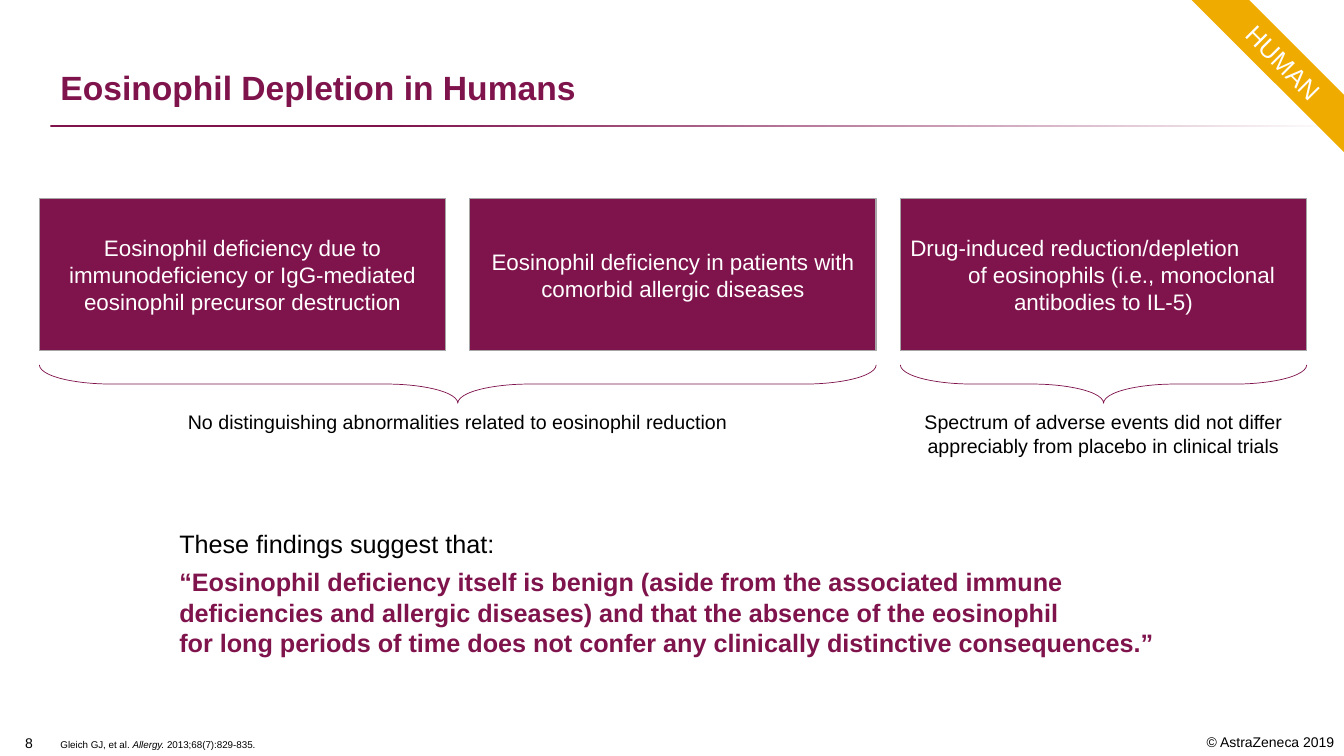
import pptx
import pptx.dml.color
import pptx.enum.shapes
import pptx.enum.text
import pptx.oxml
import pptx.util
from pptx.util import Inches

COLORS = {
    "plum": "7F134C",
    "gold": "F0AB00",
    "gray": "A6A6A6",
    "black": "000000",
    "white": "FFFFFF",
}
ALIGN = pptx.enum.text.PP_ALIGN
ANCHOR = pptx.enum.text.MSO_ANCHOR
SHAPE = pptx.enum.shapes.MSO_SHAPE


def rgb(name):
    return pptx.dml.color.RGBColor.from_string(COLORS[name])


def set_attributes(target, values):
    for name, value in values.items():
        setattr(target, name, value)


class SlideBuilder:
    font_name = "Arial"

    def __init__(self, slide):
        self.slide = slide

    def fill_text(self, shape, paragraphs, size, color, frame=None, **common):
        """Fill a shape; each paragraph is a text, or runs with format values."""
        text_frame = shape.text_frame
        text_frame.word_wrap = True
        text_frame.auto_size = pptx.enum.text.MSO_AUTO_SIZE.NONE
        set_attributes(text_frame, frame or {})
        for index, content in enumerate(paragraphs):
            if isinstance(content, str):
                content = {"runs": [(content, {})]}
            paragraph = text_frame.paragraphs[0] if index == 0 else text_frame.add_paragraph()
            properties = paragraph._p.get_or_add_pPr()
            properties.set("marL", str(Inches(content.get("indent", 0))))
            properties.set("indent", "0")
            properties.append(pptx.oxml.parse_xml(
                '<a:buNone xmlns:a="http://schemas.openxmlformats.org/drawingml/2006/main"/>'))
            set_attributes(paragraph, {"space_before": pptx.util.Pt(0), **common,
                                       **content.get("format", {})})
            for text, font_values in content["runs"]:
                run = paragraph.add_run()
                run.text = text
                set_attributes(run.font, {"name": self.font_name, "size": pptx.util.Pt(size),
                                          **font_values})
                run.font.color.rgb = rgb(content.get("color", color))

    def placeholder(self, index, box, *text, **values):
        shape = self.slide.placeholders[index]
        set_attributes(shape, dict(zip(("left", "top", "width", "height"), map(Inches, box))))
        self.fill_text(shape, *text, **values)

    def text(self, box, *text, shapes=None, rotation=0, **values):
        shape = (shapes or self.slide.shapes).add_textbox(*map(Inches, box))
        shape.rotation = rotation
        self.fill_text(shape, *text, **values)

    def shape(self, kind, box, fill=None, line=None, line_width=1, shapes=None):
        shape = (shapes or self.slide.shapes).add_shape(kind, *map(Inches, box))
        shape.shadow.inherit = False
        if fill:
            shape.fill.solid()
            shape.fill.fore_color.rgb = rgb(fill)
        else:
            shape.fill.background()
        if line:
            shape.line.color.rgb = rgb(line)
            shape.line.width = pptx.util.Pt(line_width)
        else:
            shape.line.fill.background()
        return shape

    def fading_rule(self, box):
        rule = self.shape(SHAPE.RECTANGLE, box)
        rule.fill.gradient()
        rule.fill.gradient_angle = 0
        for stop, color, position in zip(rule.fill.gradient_stops, ("plum", "white"), (0.26, 1)):
            stop.color.rgb = rgb(color)
            stop.position = position

    def corner_ribbon(self, label):
        shapes = self.slide.shapes.add_group_shape().shapes
        stripe = self.shape(SHAPE.DIAGONAL_STRIPE, (11.82, 0, 1.52, 1.52), "gold", shapes=shapes)
        stripe.adjustments[0] = 0.625
        stripe._element.spPr.get_or_add_xfrm().set("flipH", "1")
        self.text((11.94, 0.42, 1.58, 0.4), [label], 18, "white", shapes=shapes,
                  rotation=45, alignment=ALIGN.CENTER)

    def card(self, box, paragraphs):
        card = self.shape(SHAPE.RECTANGLE, box, "plum", "gray")
        self.fill_text(card, paragraphs, 16, "white", {"vertical_anchor": ANCHOR.MIDDLE},
                       alignment=ALIGN.CENTER)

    def brace_with_caption(self, left, span, caption):
        """Draw a downward brace over the span, with its caption below."""
        depth, middle = 0.38, 3.81
        brace = self.shape(SHAPE.RIGHT_BRACE,
                           (left + (span - depth) / 2, middle - span / 2, depth, span),
                           line="plum", line_width=0.5)
        brace.rotation = 90
        brace.adjustments[0] = 1.882
        brace.adjustments[1] = 0.5
        self.text((left, 4.02, span, 0.57), [caption], 14, "black", alignment=ALIGN.CENTER)


def main():
    presentation = pptx.Presentation()
    presentation.slide_width = Inches(13.33)
    presentation.slide_height = Inches(7.5)
    builder = SlideBuilder(presentation.slides.add_slide(presentation.slide_layouts[1]))

    builder.text((11.11, 7.23, 2.22, 0.27), ["© AstraZeneca 2019"], 10, "black",
                 alignment=ALIGN.RIGHT)
    builder.fading_rule((0.5, 1.24, 12.83, 0.02))
    bottom = {"vertical_anchor": ANCHOR.BOTTOM}
    builder.placeholder(0, (0.5, 0.25, 12.33, 0.87),
                        [{"runs": [("Eosinophil Depletion in Humans", {"bold": True})]}],
                        24, "plum", frame=bottom, alignment=ALIGN.LEFT, line_spacing=0.9)
    builder.text((0, 7.21, 0.53, 0.29), ["8"], 10, "black",
                 frame={**bottom, "margin_right": Inches(0.05)}, alignment=ALIGN.CENTER)
    citation = [("Gleich GJ, et al. ", {}), ("Allergy. ", {"italic": True}),
                ("2013;68(7):829-835.", {})]
    builder.placeholder(1, (0.5, 6.4, 10.78, 1.1), [{"runs": citation}], 7, "black",
                        frame=bottom, alignment=ALIGN.LEFT, line_spacing=0.9)
    builder.corner_ribbon("HUMAN")

    card_left, card_width, card_step = 0.39, 4.03, 4.27
    cards = [
        ["Eosinophil deficiency due to immunodeficiency or IgG-mediated "
         "eosinophil precursor destruction"],
        ["Eosinophil deficiency in patients with comorbid allergic diseases"],
        [{"runs": [("Drug-induced reduction/depletion", {})],
          "format": {"alignment": ALIGN.LEFT}},
         {"runs": [("of eosinophils (i.e., monoclonal", {})], "indent": 0.36},
         "antibodies to IL-5)"],
    ]
    for index, paragraphs in enumerate(cards):
        builder.card((card_left + index * card_step, 1.97, card_width, 1.51), paragraphs)

    builder.brace_with_caption(card_left, card_step + card_width,
                               "No distinguishing abnormalities related to eosinophil reduction")
    builder.brace_with_caption(card_left + 2 * card_step, card_width,
                               "Spectrum of adverse events did not differ appreciably "
                               "from placebo in clinical trials")

    quote = [
        "“Eosinophil deficiency itself is benign (aside from the associated immune "
        "deficiencies and allergic diseases) and that the absence of the eosinophil",
        "for long periods of time does not confer any clinically distinctive consequences.”",
    ]
    findings = [{"runs": [("These findings suggest that:", {})],
                 "format": {"space_after": pptx.util.Pt(6)}}]
    findings += [{"runs": [(text, {"bold": True})], "color": "plum"} for text in quote]
    builder.text((1.68, 5.19, 9.97, 1.4), findings, 18, "black")

    presentation.save("out.pptx")


if __name__ == "__main__":
    main()
